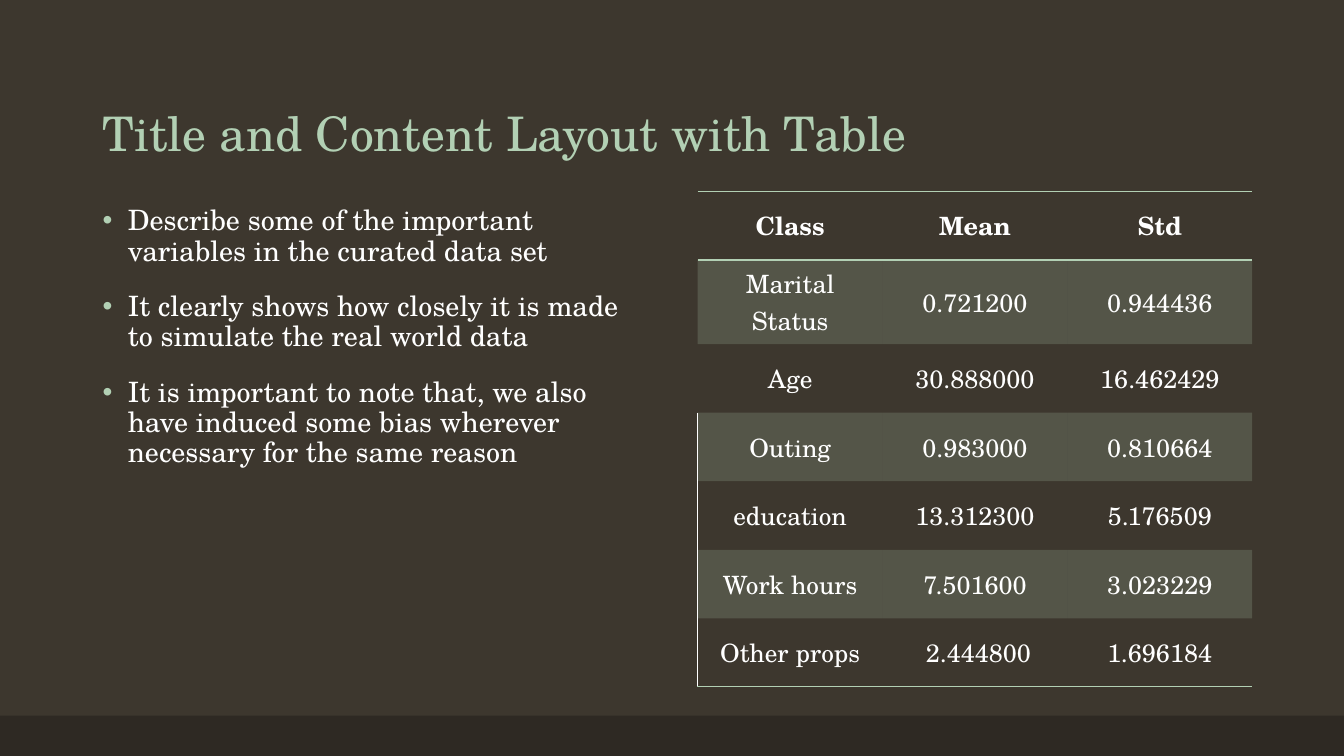
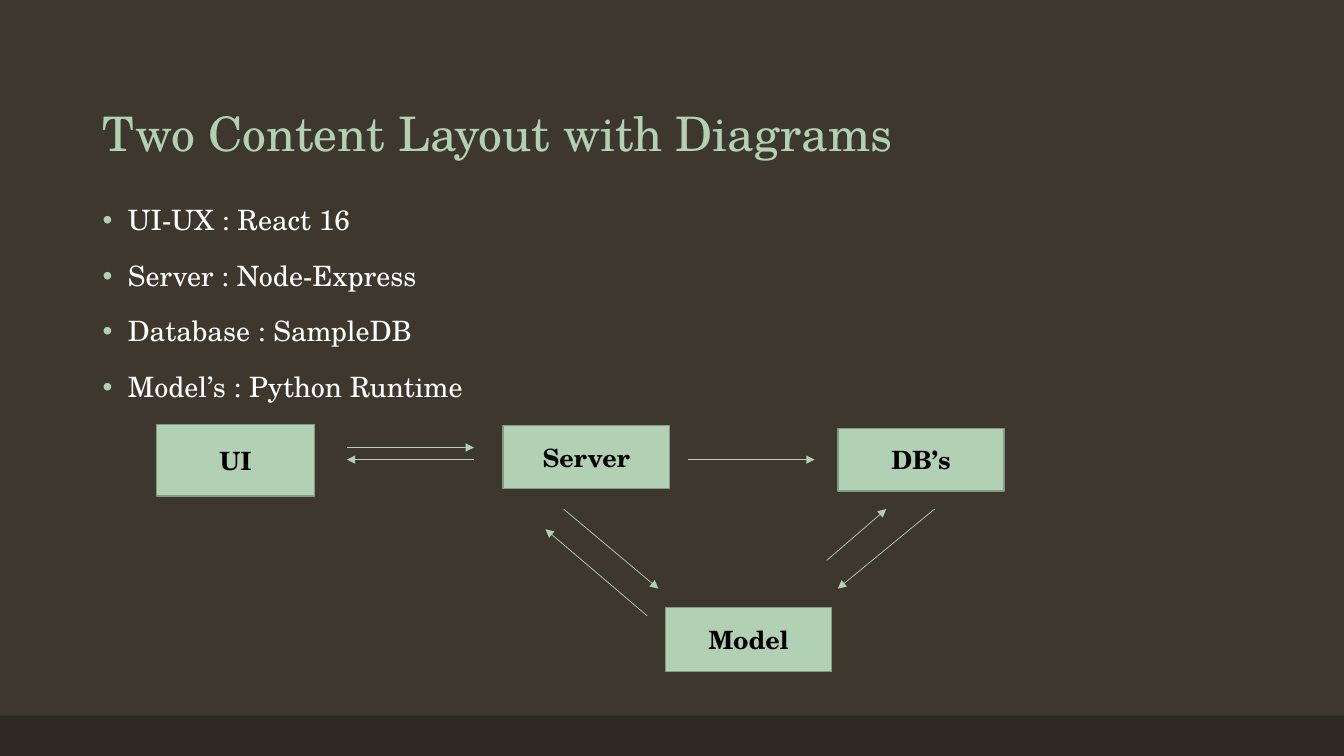
"""Build a two-slide deck: a statistics table and a system diagram."""
from lxml import etree
from pptx import Presentation
from pptx.dml.color import RGBColor
from pptx.enum.shapes import MSO_CONNECTOR, MSO_SHAPE
from pptx.enum.text import MSO_ANCHOR, MSO_AUTO_SIZE, PP_ALIGN
from pptx.oxml.ns import qn
from pptx.util import Inches, Pt

RECTANGLE = MSO_SHAPE.RECTANGLE
STRAIGHT = MSO_CONNECTOR.STRAIGHT
TOP, MIDDLE, BOTTOM = MSO_ANCHOR.TOP, MSO_ANCHOR.MIDDLE, MSO_ANCHOR.BOTTOM
CENTER = PP_ALIGN.CENTER
SHRINK = MSO_AUTO_SIZE.TEXT_TO_FIT_SHAPE

BACKGROUND = RGBColor(0x3D, 0x37, 0x2E)
BAND = RGBColor(0x2E, 0x29, 0x23)
MINT = RGBColor(0xB2, 0xD0, 0xB4)
MINT_EDGE = RGBColor(0x84, 0x9A, 0x85)
WHITE = RGBColor(0xFF, 0xFF, 0xFF)
BLACK = RGBColor(0x00, 0x00, 0x00)

FONT = "TeX Gyre Schola"
PLAIN_TABLE = "{2D5ABB26-0587-4C30-8999-92F81FD0307C}"
WIDTH, HEIGHT = 13.33, 7.5
BAND_HEIGHT = 0.4
MARGIN, COLUMN, GUTTER = 0.92, 5.5, 0.5
RIGHT_COLUMN = MARGIN + COLUMN + GUTTER
ROW, TALL_ROW = 0.68, 0.77

VARIABLE_NOTES = [
    "Describe some of the important variables in the curated data set",
    "It clearly shows how closely it is made to simulate the real world data",
    "It is important to note that, we also have induced some bias wherever "
    "necessary for the same reason",
]
STATISTICS = [
    ("Class", "Mean", "Std"),
    ("Marital Status", "0.721200", "0.944436"),
    ("Age", "30.888000", "16.462429"),
    ("Outing", "0.983000", "0.810664"),
    ("education", "13.312300", "5.176509"),
    ("Work hours", "7.501600", "3.023229"),
    ("Other props", " 2.444800", "1.696184"),
]
FIRST_EDGED_ROW = 3

STACK = [
    "UI-UX : React 16",
    "Server : Node-Express",
    "Database : SampleDB",
    "Model’s : Python Runtime",
]
NODES = [
    ("UI", 1.55, 4.21, 1.57, 0.71),
    ("Server", 4.99, 4.22, 1.65, 0.63),
    ("DB’s", 8.31, 4.25, 1.65, 0.62),
    ("Model", 6.6, 6.03, 1.65, 0.63),
]
ARROWS = [
    ((3.44, 4.44), (4.7, 4.44)),
    ((4.7, 4.56), (3.44, 4.56)),
    ((6.82, 4.56), (8.08, 4.56)),
    ((5.59, 5.05), (6.53, 5.84)),
    ((6.42, 6.11), (5.41, 5.25)),
    ((9.27, 5.05), (8.31, 5.84)),
    ((8.2, 5.56), (8.79, 5.05)),
]


def inches(*lengths):
    """Convert plain numbers to slide lengths."""
    return [Inches(length) for length in lengths]


def add_span(para, text, size, color, bold=False):
    """Add one styled run to a paragraph."""
    span = para.add_run()
    span.text = text
    span.font.name = FONT
    span.font.size = Pt(size)
    span.font.color.rgb = color
    span.font.bold = bold


def add_color(parent, color, opacity=None):
    """Append a solid RGB colour element, optionally translucent."""
    tone = etree.SubElement(parent, qn("a:srgbClr"), val=str(color))
    if opacity is not None:
        etree.SubElement(tone, qn("a:alpha"), val=str(opacity * 1000))


def add_box(page, left, top, width, height, fill, edge=None):
    """Add a flat rectangle."""
    box = page.shapes.add_shape(RECTANGLE, *inches(left, top, width, height))
    box.shadow.inherit = False
    box.fill.solid()
    box.fill.fore_color.rgb = fill
    if edge is None:
        box.line.fill.background()
    else:
        box.line.color.rgb = edge
        box.line.width = Pt(1)
    return box


def add_text_frame(page, left, top, width, height, anchor):
    """Add a wrapping text box and return its frame."""
    box = page.shapes.add_textbox(*inches(left, top, width, height))
    frame = box.text_frame
    frame.word_wrap = True
    frame.auto_size = SHRINK
    frame.vertical_anchor = anchor
    return frame


def add_page(deck, title):
    """Add a page with the shared background, band and title."""
    page = deck.slides.add_slide(deck.slide_layouts[6])
    page.background.fill.solid()
    page.background.fill.fore_color.rgb = BACKGROUND
    add_box(page, 0, HEIGHT - BAND_HEIGHT, WIDTH, BAND_HEIGHT, BAND)
    frame = add_text_frame(page, MARGIN, 0.4, 2 * COLUMN + GUTTER, 1.25, BOTTOM)
    para = frame.paragraphs[0]
    para.line_spacing = 0.9
    add_span(para, title, 34, MINT)
    return page


def add_bullets(page, items):
    """Fill the left column with a bulleted list."""
    frame = add_text_frame(page, MARGIN, 2, COLUMN, 4.76, TOP)
    for index, item in enumerate(items):
        para = frame.add_paragraph() if index else frame.paragraphs[0]
        para.line_spacing = 0.9
        para.space_before = Pt(18)
        add_span(para, item, 20, WHITE)
        props = para._p.get_or_add_pPr()
        props.set("marL", str(Inches(0.25)))
        props.set("indent", str(-Inches(0.25)))
        add_color(etree.SubElement(props, qn("a:buClr")), MINT)
        etree.SubElement(props, qn("a:buFont"), typeface="Arial")
        etree.SubElement(props, qn("a:buChar"), char="•")


def style_cell(cell, banded, borders):
    """Set a cell's translucent band and its (side, colour) borders."""
    cell.fill.background()
    props = cell._tc.get_or_add_tcPr()
    if banded:
        props.remove(props.find(qn("a:noFill")))
        add_color(etree.SubElement(props, qn("a:solidFill")), MINT, 20)
    for position, (side, color) in enumerate(borders):
        line = etree.Element(qn(f"a:ln{side}"), w=str(Pt(1)))
        add_color(etree.SubElement(line, qn("a:solidFill")), color)
        props.insert(position, line)


def cell_borders(row, column):
    """List the borders of a cell, in left, top, bottom order."""
    borders = []
    if column == 0 and row >= FIRST_EDGED_ROW:
        borders.append(("L", WHITE))
    if row == 0:
        borders.append(("T", MINT))
    if row in (0, len(STATISTICS) - 1):
        borders.append(("B", MINT))
    return borders


def add_statistics(page):
    """Fill the right column with the statistics table."""
    rows, columns = len(STATISTICS), len(STATISTICS[0])
    heights = [TALL_ROW if row == 1 else ROW for row in range(rows)]
    place = inches(RIGHT_COLUMN, 1.9, COLUMN, sum(heights))
    table = page.shapes.add_table(rows, columns, *place).table
    table.horz_banding = False
    table._tbl.tblPr.find(qn("a:tableStyleId")).text = PLAIN_TABLE
    for row, values in enumerate(STATISTICS):
        table.rows[row].height = Inches(heights[row])
        for column, value in enumerate(values):
            cell = table.cell(row, column)
            cell.vertical_anchor = MIDDLE
            para = cell.text_frame.paragraphs[0]
            para.alignment = CENTER
            add_span(para, value, 18, WHITE, bold=row == 0)
            style_cell(cell, row % 2 == 1, cell_borders(row, column))


def add_node(page, label, *place):
    """Add a labelled box of the diagram."""
    frame = add_box(page, *place, MINT, MINT_EDGE).text_frame
    frame.vertical_anchor = MIDDLE
    para = frame.paragraphs[0]
    para.alignment = CENTER
    add_span(para, label, 18, BLACK, bold=True)


def add_arrow(page, start, end):
    """Add a thin arrow between two points."""
    arrow = page.shapes.add_connector(STRAIGHT, *inches(*start, *end))
    arrow.line.color.rgb = MINT
    arrow.line.width = Pt(0.5)
    etree.SubElement(arrow.line._get_or_add_ln(), qn("a:tailEnd"), type="triangle")
    etree.SubElement(arrow._element.spPr, qn("a:effectLst"))


def main():
    """Build and save the deck."""
    deck = Presentation()
    deck.slide_width, deck.slide_height = inches(WIDTH, HEIGHT)

    page = add_page(deck, "Title and Content Layout with Table")
    add_bullets(page, VARIABLE_NOTES)
    add_statistics(page)

    page = add_page(deck, "Two Content Layout with Diagrams")
    add_bullets(page, STACK)
    for node in NODES:
        add_node(page, *node)
    for start, end in ARROWS:
        add_arrow(page, start, end)

    deck.save("out.pptx")


if __name__ == "__main__":
    main()
